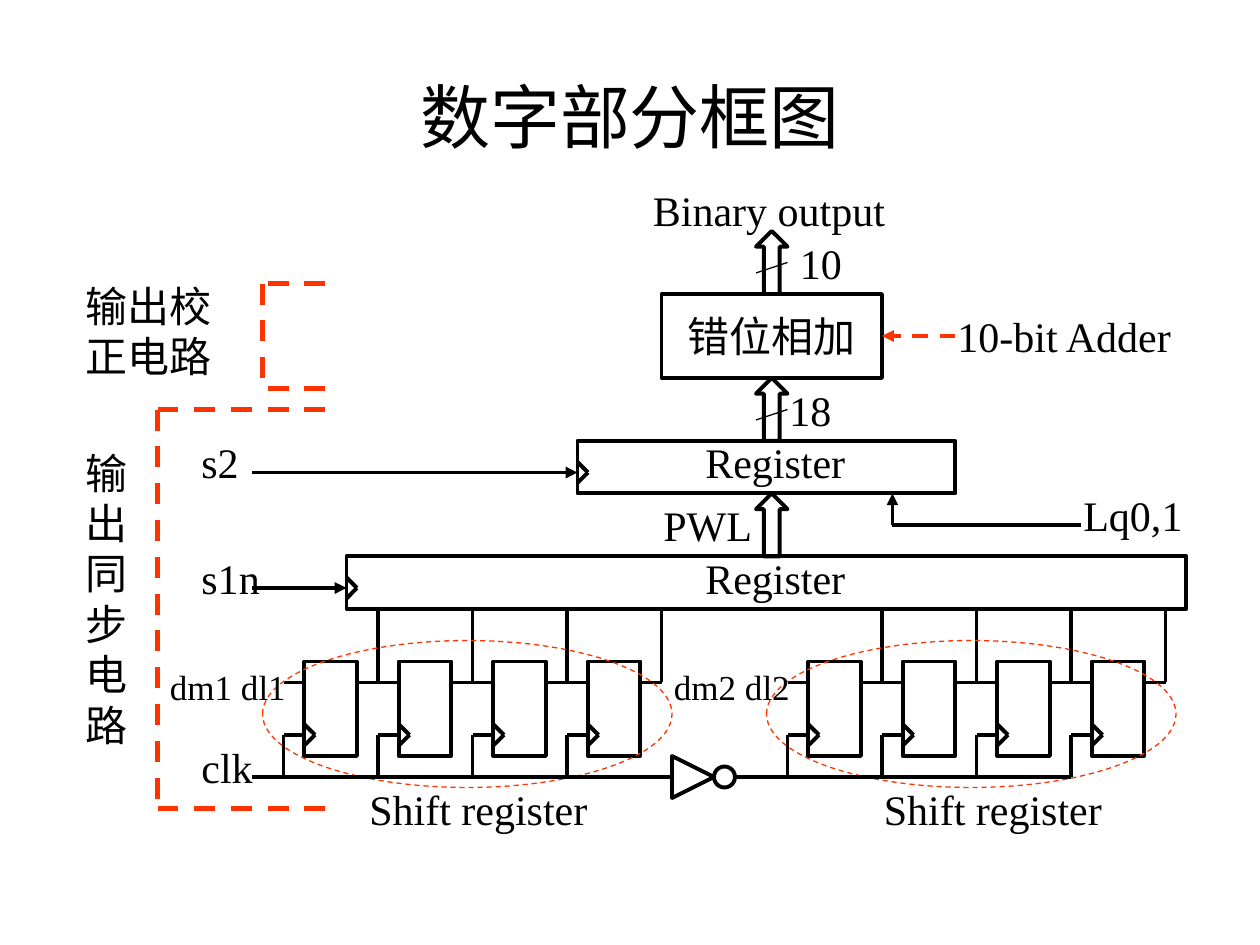
from lxml.etree import SubElement
from pptx import Presentation
from pptx.dml.color import RGBColor
from pptx.enum.dml import MSO_LINE_DASH_STYLE as Dash
from pptx.enum.shapes import MSO_CONNECTOR as Connector, MSO_SHAPE as Shape
from pptx.enum.text import MSO_ANCHOR as Anchor, MSO_AUTO_SIZE as AutoSize, PP_ALIGN as Align
from pptx.oxml.ns import qn
from pptx.util import Inches, Pt

PX = Inches(1) // 96
BLACK, RED = "000000", "FF3300"

TITLE = ("数字部分框图", 72, 48, 816, 80)
# text, left, top, width, height
LABELS = [
    ("Binary output", 488, 136, 208, 48),
    ("10", 600, 176, 56, 48),
    ("10-bit Adder", 720, 232, 192, 48),
    ("18", 592, 288, 72, 48),
    ("Register", 528, 328, 152, 48),
    ("PWL", 496, 376, 104, 48),
    ("Lq0,1", 816, 368, 104, 48),
    ("Register", 528, 416, 152, 48),
    ("s2", 144, 328, 72, 48),
    ("s1n", 144, 416, 72, 48),
    ("clk", 144, 560, 72, 48),
    ("Shift register", 272, 592, 192, 48),
    ("Shift register", 664, 592, 192, 48),
    ("输出同步电路", 56, 336, 48, 240),
    ("输出校正电路", 56, 209, 120, 86),
]
DATA_LABELS = [("dm1 dl1", 120, 502, 112, 42), ("dm2 dl2", 504, 502, 112, 42)]
ADDER = ("错位相加", 504, 224, 168, 64)
REGISTERS = [(264, 424, 640, 40), (440, 336, 288, 40)]
BUS_LEFT, BUS_TOPS, BUS_SIZE = 576, (376, 288, 176), (24, 48)
SLASH_TOPS = (312, 200)

# x1, y1, x2, y2
CLOCK_WIRES = [(192, 592, 512, 592), (560, 592, 816, 592)]
INPUT_ARROWS = [(192, 448, 264, 448), (192, 360, 440, 360), (680, 400, 680, 376)]
LQ_WIRE = (680, 400, 824, 400)
ADDER_POINTER = (728, 256, 672, 256)
# right, left, top, bottom of the open brackets
BRACKETS = [(248, 120, 312, 616), (248, 200, 216, 296)]

GROUP_LEFTS, STAGES, PITCH = (232, 616), 4, 72
CELL_TOP, CELL_WIDTH, CELL_HEIGHT, LEAD = 504, 40, 72, 16
DATA_Y, CLOCK_Y, CLOCK_BUS_Y, TAP_Y = 520, 560, 592, 464
NOTCH = 8

deck = Presentation()
deck.slide_width, deck.slide_height = 960 * PX, 720 * PX
page = deck.slides.add_slide(deck.slide_layouts[6])


def rgb(color):
    return RGBColor.from_string(color)


def style_line(line, color, weight, dashed):
    line.color.rgb = rgb(color)
    line.width = Pt(weight)
    if dashed:
        line.dash_style = Dash.DASH


def add_wire(x1, y1, x2, y2, color=BLACK, weight=2.25, dashed=False, arrow=False):
    wire = page.shapes.add_connector(
        Connector.STRAIGHT, *(v * PX for v in (x1, y1, x2, y2)))
    style_line(wire.line, color, weight, dashed)
    properties = wire._element.spPr
    if arrow:
        SubElement(properties.find(qn("a:ln")), qn("a:tailEnd"), type="triangle")
    SubElement(properties, qn("a:effectLst"))


def add_outline(kind, left, top, width, height, color=BLACK, weight=2.25, dashed=False):
    shape = page.shapes.add_shape(
        kind, *(v * PX for v in (left, top, width, height)))
    shape.shadow.inherit = False
    shape.fill.background()
    style_line(shape.line, color, weight, dashed)
    return shape


def write(box, text, size=24, font="Times New Roman", align=Align.LEFT,
          anchor=Anchor.TOP, wrap=True):
    frame = box.text_frame
    frame.word_wrap = wrap
    frame.auto_size = AutoSize.NONE
    frame.vertical_anchor = anchor
    para = frame.paragraphs[0]
    para.alignment = align
    span = para.add_run()
    span.text = text
    span.font.size = Pt(size)
    span.font.name = font
    span.font.color.rgb = rgb(BLACK)


def add_label(text, left, top, width, height, **text_format):
    box = page.shapes.add_textbox(*(v * PX for v in (left, top, width, height)))
    write(box, text, **text_format)


def add_clock_notch(left, middle):
    add_wire(left, middle - NOTCH, left + NOTCH, middle)
    add_wire(left + NOTCH, middle, left, middle + NOTCH)


def add_stage(left):
    """One flip-flop with its data, clock and tap wires."""
    start, right = left - LEAD, left + CELL_WIDTH
    tap = right + LEAD
    add_outline(Shape.RECTANGLE, left, CELL_TOP, CELL_WIDTH, CELL_HEIGHT)
    add_clock_notch(left, CLOCK_Y)
    add_wire(start, DATA_Y, left, DATA_Y)
    add_wire(right, DATA_Y, tap, DATA_Y)
    add_wire(tap, DATA_Y, tap, TAP_Y)
    add_wire(start, CLOCK_Y, left, CLOCK_Y)
    add_wire(start, CLOCK_Y, start, CLOCK_BUS_Y)


add_label(*TITLE, size=40, font="Arial", align=Align.CENTER, anchor=Anchor.MIDDLE)

for group_left in GROUP_LEFTS:
    for stage in range(STAGES):
        add_stage(group_left + stage * PITCH)
    add_outline(Shape.OVAL, group_left - 32, 488, 312, 112, RED, 0.75, True)

inverter = add_outline(Shape.ISOSCELES_TRIANGLE, 512, 576, 32, 32)
inverter.rotation = 90
add_outline(Shape.OVAL, 544, 584, 16, 16)

for left, top, width, height in REGISTERS:
    add_outline(Shape.RECTANGLE, left, top, width, height)
    add_clock_notch(left, top + 24)
adder_text, *adder_place = ADDER
write(add_outline(Shape.RECTANGLE, *adder_place), adder_text,
      align=Align.CENTER, anchor=Anchor.MIDDLE, wrap=False)

for top in BUS_TOPS:
    add_outline(Shape.UP_ARROW, BUS_LEFT, top, *BUS_SIZE)
for top in SLASH_TOPS:
    add_wire(BUS_LEFT, top + 8, BUS_LEFT + 24, top, weight=0.75)

for ends in CLOCK_WIRES + [LQ_WIRE]:
    add_wire(*ends)
for ends in INPUT_ARROWS:
    add_wire(*ends, arrow=True)
add_wire(*ADDER_POINTER, color=RED, dashed=True, arrow=True)

for right, left, top, bottom in BRACKETS:
    for ends in ((right, top, left, top), (left, top, left, bottom),
                 (right, bottom, left, bottom)):
        add_wire(*ends, color=RED, weight=3, dashed=True)

for label in LABELS:
    add_label(*label)
for label in DATA_LABELS:
    add_label(*label, size=20)

deck.save("out.pptx")
